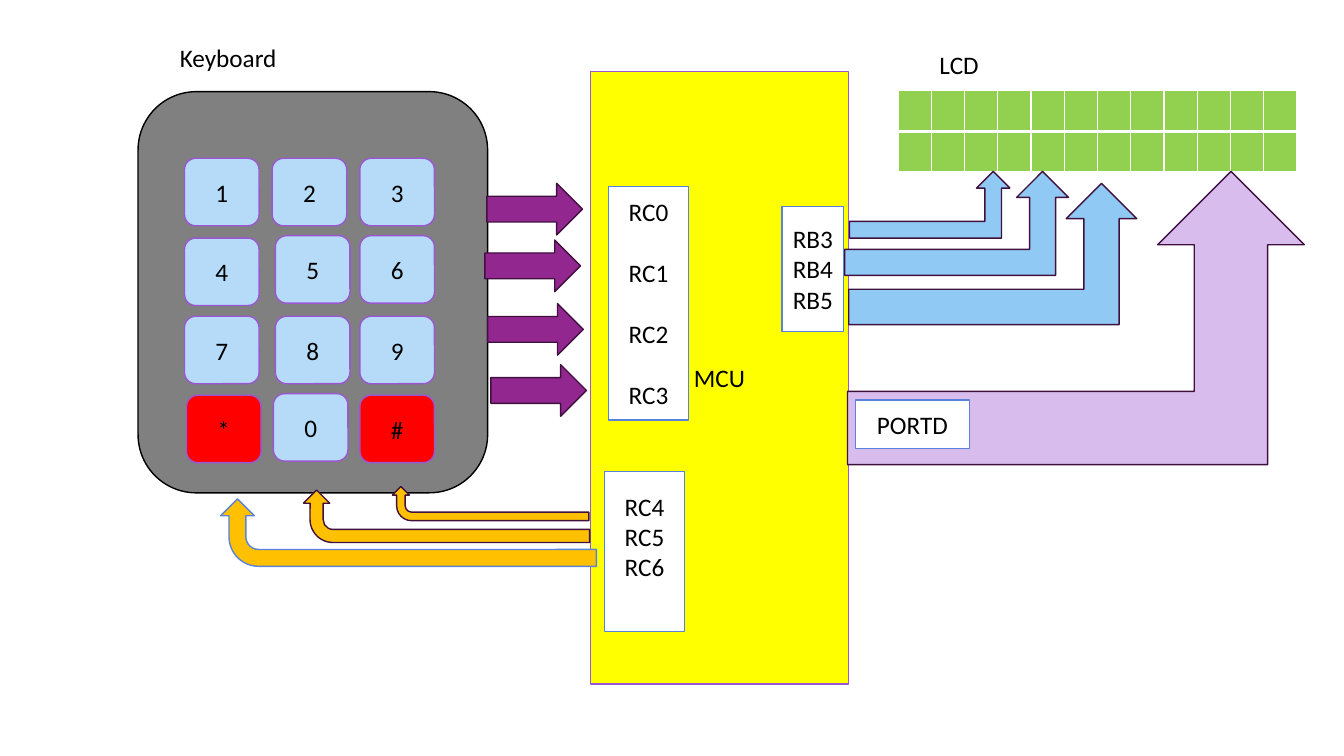
from lxml import etree
from pptx import Presentation
from pptx.dml.color import RGBColor
from pptx.enum.shapes import MSO_SHAPE
from pptx.enum.text import MSO_ANCHOR, PP_ALIGN
from pptx.oxml.ns import qn
from pptx.util import Cm, Pt

RECT = MSO_SHAPE.RECTANGLE
ROUND = MSO_SHAPE.ROUNDED_RECTANGLE
CASE = MSO_SHAPE.FLOWCHART_ALTERNATE_PROCESS
RIGHT = MSO_SHAPE.RIGHT_ARROW
BENT = MSO_SHAPE.BENT_ARROW
BENT_UP = MSO_SHAPE.BENT_UP_ARROW
MIDDLE = MSO_ANCHOR.MIDDLE
CENTER = PP_ALIGN.CENTER

PURPLE = "9B57D3"
BLUE = "5982DB"
DARK = "40113F"
WHITE = "FFFFFF"


def color(code):
    """Turn a hex string into a colour."""
    return RGBColor.from_string(code)


def inside(box, x, y, w, h):
    """Return a box placed relative to the corner of another."""
    return box[0] + x, box[1] + y, w, h


def write(shape, lines, gap=0):
    """Write centred lines, with a gap in points between them."""
    frame = shape.text_frame
    frame.word_wrap = True
    frame.vertical_anchor = MIDDLE
    frame.margin_left = frame.margin_right = 0
    for i, line in enumerate(lines):
        para = frame.paragraphs[0] if i == 0 else frame.add_paragraph()
        para.alignment = CENTER
        if i and gap:
            para.space_before = Pt(gap)
        run = para.add_run()
        run.text = line
        run.font.name = "Calibri"
        run.font.size = Pt(18)
        run.font.color.rgb = color("000000")


def draw(slide, kind, box, fill, edge, lines=(), gap=0):
    """Draw a filled shape with an outline and optional text."""
    shape = slide.shapes.add_shape(kind, *map(Cm, box))
    shape.shadow.inherit = False
    shape.fill.solid()
    shape.fill.fore_color.rgb = color(fill)
    shape.line.color.rgb = color(edge)
    shape.line.width = Pt(1)
    write(shape, lines, gap)
    return shape


def label(slide, box, text):
    """Add a centred caption."""
    write(slide.shapes.add_textbox(*map(Cm, box)), [text])


def keypad(slide, box):
    """Draw the keyboard case, its keys and its caption."""
    draw(slide, CASE, box, "808080", "000000")
    nudge = {"4": (0, 0.02), "5": (0.08, -0.04), "6": (0, -0.04),
             "8": (0.08, 0), "*": (0.05, 0), "0": (0.03, -0.04)}
    for i, key in enumerate("123456789*0#"):
        row, col = divmod(i, 3)
        dx, dy = nudge.get(key, (0, 0))
        place = inside(box, 1.17 + 2.21 * col + dx, 1.68 + 1.99 * row + dy, 1.88, 1.7)
        draw(slide, ROUND, place, "FF0000" if key in "*#" else "B5DBF8", PURPLE, [key])
    label(slide, inside(box, -0.79, -1.37, 6.12, 1.02), "Keyboard")


def chip(slide, box):
    """Draw the controller with its port boxes."""
    draw(slide, RECT, box, "FFFF00", PURPLE, ["MCU"])
    ports = [
        ((0.46, 2.9, 2.01, 5.89), ["RC0", "RC1", "RC2", "RC3"], 22),
        ((0.36, 10.08, 2.01, 4.04), ["RC4", "RC5", "RC6"], 0),
        ((4.83, 3.4, 1.55, 3.15), ["RB3", "RB4", "RB5"], 0),
    ]
    for place, names, gap in ports:
        port = draw(slide, RECT, inside(box, *place), WHITE, BLUE, names, gap)
        if "RC4" in names:
            port.text_frame.margin_bottom = Cm(0.9)


def rows(slide, box):
    """Draw the four arrows from the keyboard to the controller."""
    for x, y in [(0.05, 0), (0, 1.43), (0.07, 3.03), (0.15, 4.57)]:
        draw(slide, RIGHT, inside(box, x, y, 2.41, 1.3), "92278F", DARK)


def columns(slide, box):
    """Draw the three bent arrows from the controller up to the keyboard."""
    bends = [(4.33, 0, 4.95, 0.86, DARK), (2.09, 0.09, 7.21, 1.32, DARK),
             (0, 0.31, 9.47, 1.7, BLUE)]
    for x, y, w, h, edge in bends:
        place = inside(box, x + (w - h) / 2, y + (h - w) / 2, h, w)
        draw(slide, BENT, place, "FFC000", edge).rotation = 270


def border(cell, side, width):
    """Give one side of a cell a white line."""
    line = etree.SubElement(cell._tc.get_or_add_tcPr(), qn("a:ln" + side), w=str(Pt(width)))
    fill = etree.SubElement(line, qn("a:solidFill"))
    etree.SubElement(fill, qn("a:srgbClr"), val=WHITE)


def screen(slide, box):
    """Draw the LCD as a grid of cells with its caption."""
    table = slide.shapes.add_table(2, 12, *map(Cm, box)).table
    table.first_row = table.horz_banding = False
    for col in table.columns:
        col.width = Cm(box[2] / 12)
    for r, row in enumerate(table.rows):
        row.height = Cm(box[3] / 2)
        for cell in row.cells:
            cell.margin_left = cell.margin_right = 0
            cell.margin_top = cell.margin_bottom = 0
            for side, width in zip("LRTB", (1, 1, 3 if r else 1, 1 if r else 3)):
                border(cell, side, width)
            cell.fill.solid()
            cell.fill.fore_color.rgb = color("92D050")
    label(slide, inside(box, -1.52, -1.17, 6.12, 1.02), "LCD")


def buses(slide, box):
    """Draw the arrows from the controller up to the LCD."""
    bends = [(0.12, 0, 4.04, 1.68), (0, 0, 5.64, 2.62), (0.1, 0.3, 7.26, 3.56)]
    for place in bends:
        draw(slide, BENT_UP, inside(box, *place), "8FC9F4", DARK)
    draw(slide, BENT_UP, inside(box, 0.07, 0, 11.51, 7.39), "D7BCED", DARK)
    draw(slide, RECT, inside(box, 0.27, 5.76, 2.87, 1.22), WHITE, BLUE, ["PORTD"])


def main():
    """Build the slide and save it."""
    deck = Presentation()
    deck.slide_width, deck.slide_height = Cm(33.87), Cm(19.05)
    slide = deck.slides.add_slide(deck.slide_layouts[6])
    keypad(slide, (3.48, 2.31, 8.81, 10.11))
    chip(slide, (14.88, 1.8, 6.5, 15.44))
    rows(slide, (12.22, 4.62))
    columns(slide, (5.56, 12.26))
    screen(slide, (22.63, 2.29, 10.06, 2.04))
    buses(slide, (21.29, 4.32))
    deck.save("out.pptx")


if __name__ == "__main__":
    main()
